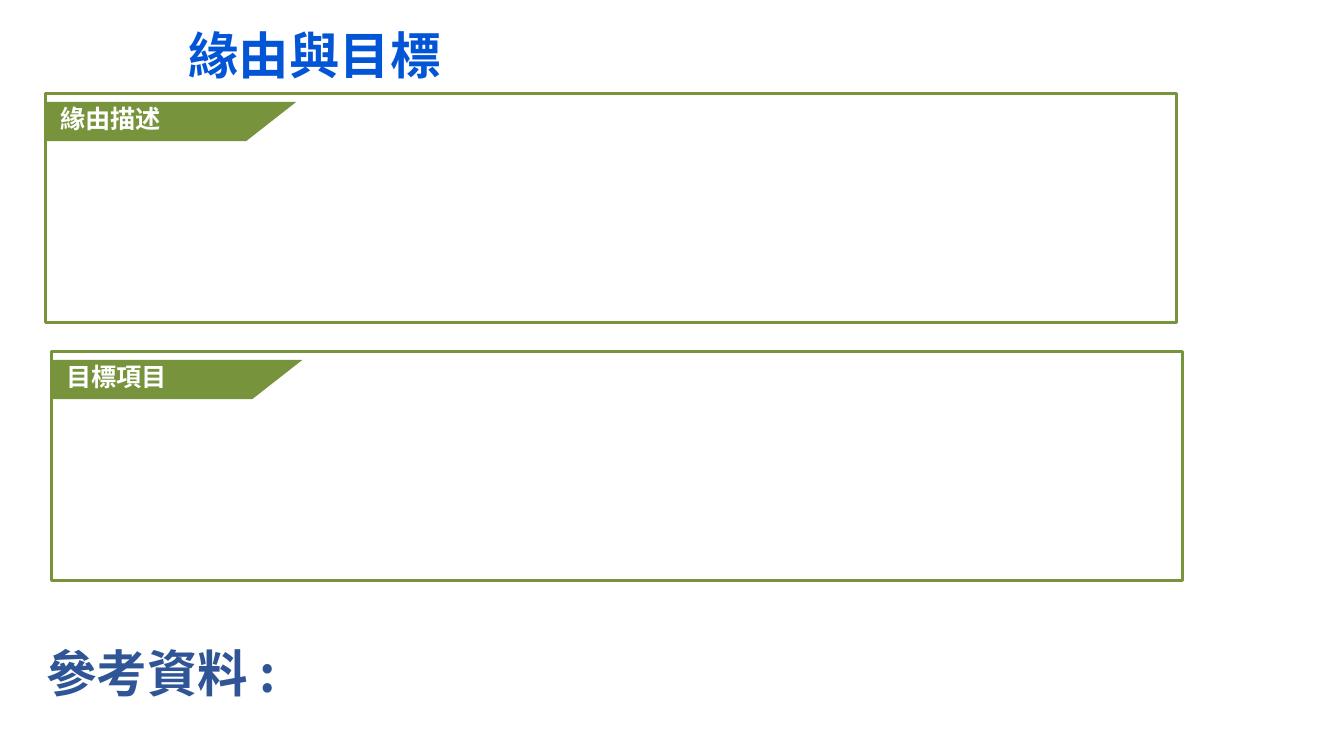
from pptx import Presentation
from pptx.dml.color import RGBColor
from pptx.enum.shapes import MSO_SHAPE
from pptx.enum.text import MSO_ANCHOR, MSO_AUTO_SIZE, PP_ALIGN
from pptx.oxml.ns import qn
from pptx.util import Inches, Pt

RECTANGLE = MSO_SHAPE.RECTANGLE
RIBBON = MSO_SHAPE.FLOWCHART_MANUAL_INPUT
MIDDLE, TOP = MSO_ANCHOR.MIDDLE, MSO_ANCHOR.TOP
LEFT, JUSTIFY = PP_ALIGN.LEFT, PP_ALIGN.JUSTIFY
NO_FIT, GROW = MSO_AUTO_SIZE.NONE, MSO_AUTO_SIZE.SHAPE_TO_FIT_TEXT

FONT = "Noto Sans CJK SC"
GREEN = RGBColor(0x77, 0x93, 0x3C)
BRIGHT_BLUE = RGBColor(0x02, 0x55, 0xD5)
DARK_BLUE = RGBColor(0x2F, 0x55, 0x97)
WHITE = RGBColor(0xFF, 0xFF, 0xFF)


def write_text(box, text, size, color, align=LEFT, anchor=TOP, wrap=True,
               fit=GROW, spacing=1.0):
    frame = box.text_frame
    frame.word_wrap = wrap
    frame.auto_size = fit
    frame.vertical_anchor = anchor
    para = frame.paragraphs[0]
    para.alignment = align
    para.line_spacing = spacing
    span = para.add_run()
    span.text = text
    span.font.name = FONT
    span.font.size = Pt(size)
    span.font.bold = True
    span.font.color.rgb = color
    east_asian = span.font._element.makeelement(qn("a:ea"), {"typeface": FONT})
    span.font._element.find(qn("a:latin")).addnext(east_asian)


deck = Presentation()
deck.slide_width, deck.slide_height = Inches(13.33), Inches(7.5)
page = deck.slides.add_slide(deck.slide_layouts[5])

title = page.shapes.title
title.left, title.top = Inches(1.77), Inches(0.22)
title.width, title.height = Inches(9.9), Inches(0.71)
write_text(title, "緣由與目標", 36, BRIGHT_BLUE, anchor=MIDDLE, fit=NO_FIT, spacing=0.9)

for heading, left, top in [("緣由描述", 0.45, 0.93), ("目標項目", 0.51, 3.49)]:
    # The ribbon is an upright shape laid on its side by rotation.
    ribbon = page.shapes.add_shape(RIBBON, Inches(left + 1.05), Inches(top - 0.97),
                                   Inches(0.39), Inches(2.49))
    ribbon.rotation = 270
    ribbon._element.spPr.find(qn("a:xfrm")).set("flipV", "1")
    ribbon.shadow.inherit = False
    ribbon.fill.solid()
    ribbon.fill.fore_color.rgb = GREEN
    ribbon.line.fill.background()

    panel = page.shapes.add_shape(RECTANGLE, Inches(left), Inches(top),
                                  Inches(11.22), Inches(2.27))
    panel.shadow.inherit = False
    panel.fill.background()
    panel.line.color.rgb = GREEN
    panel.line.width = Pt(2)

    label = page.shapes.add_textbox(Inches(left + 0.05), Inches(top + 0.05),
                                    Inches(1.21), Inches(0.4))
    write_text(label, heading, 18, WHITE, wrap=False)

references = page.shapes.add_textbox(Inches(0.36), Inches(6.32), Inches(10.72), Inches(0.71))
write_text(references, "參考資料 :", 36, DARK_BLUE, align=JUSTIFY)

deck.save("out.pptx")
